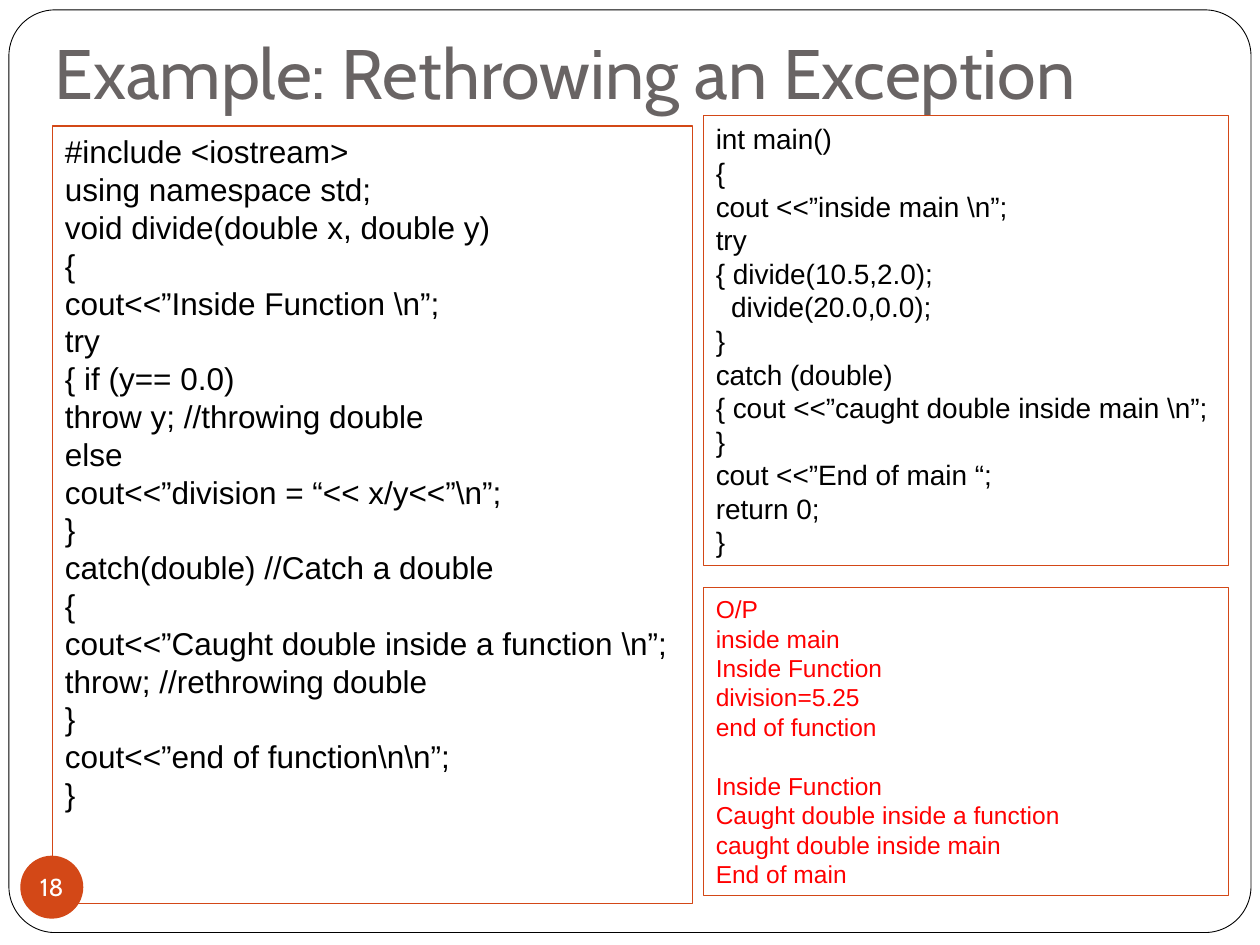
import pptx
import pptx.util
from pptx.dml.color import RGBColor
from pptx.enum.shapes import MSO_SHAPE
from pptx.enum.text import MSO_ANCHOR, PP_ALIGN
from pptx.util import Cm, Pt

BLACK = RGBColor(0x00, 0x00, 0x00)
WHITE = RGBColor(0xFF, 0xFF, 0xFF)
GREY = RGBColor(0x69, 0x64, 0x64)
ORANGE = RGBColor(0xD3, 0x48, 0x17)
RED = RGBColor(0xFF, 0x00, 0x00)

DIVIDE_CODE = r"""#include <iostream>
using namespace std;
void divide(double x, double y)
{
cout<<”Inside Function \n”;
try
{ if (y== 0.0)
throw y; //throwing double
else
cout<<”division = “<< x/y<<”\n”;
}
catch(double) //Catch a double
{
cout<<”Caught double inside a function \n”;
throw; //rethrowing double
}
cout<<”end of function\n\n”;
}"""

MAIN_CODE = r"""int main()
{
cout <<”inside main \n”;
try
{ divide(10.5,2.0);
  divide(20.0,0.0);
}
catch (double)
{ cout <<”caught double inside main \n”;
}
cout <<”End of main “;
return 0;
}"""

# A blank line separates the output of the two calls.
OUTPUT = """O/P
inside main
Inside Function
division=5.25
end of function

Inside Function
Caught double inside a function
caught double inside main
End of main"""


def style_font(font, name, size, color):
    font.name = name
    font.size = Pt(size)
    font.color.rgb = color


def set_insets(tf, left, top, right, bottom):
    tf.margin_left, tf.margin_top = Cm(left), Cm(top)
    tf.margin_right, tf.margin_bottom = Cm(right), Cm(bottom)


def add_box(slide, kind, box, fill=None, line=None, width=0.75):
    sp = slide.shapes.add_shape(kind, *map(Cm, box))
    sp.shadow.inherit = False
    if fill is None:
        sp.fill.background()
    else:
        sp.fill.solid()
        sp.fill.fore_color.rgb = fill
    if line is None:
        sp.line.fill.background()
    else:
        sp.line.color.rgb = line
        sp.line.width = Pt(width)
    return sp


def add_frame(slide, box):
    sp = add_box(slide, MSO_SHAPE.ROUNDED_RECTANGLE, box, WHITE, BLACK, 0.5)
    sp.adjustments[0] = 0.05


def add_title(slide, box, text):
    tf = slide.shapes.add_textbox(*map(Cm, box)).text_frame
    tf.word_wrap = True
    tf.vertical_anchor = MSO_ANCHOR.BOTTOM
    set_insets(tf, 0.25, 0.13, 0.25, 0.25)
    tf.text = text
    style_font(tf.paragraphs[0].runs[0].font, "Cabin", 40, GREY)


def add_listing(slide, box, text, size, color, hanging=0):
    """Outlined panel with one paragraph per line; a blank line becomes space before."""
    tf = add_box(slide, MSO_SHAPE.RECTANGLE, box, line=ORANGE).text_frame
    tf.word_wrap = True
    tf.vertical_anchor = MSO_ANCHOR.TOP
    set_insets(tf, 0.25, 0.13, 0.25, 0.13)
    line_height = Pt(size * 1.2)
    blocks = text.split("\n\n")
    tf.text = "\n".join(blocks)
    for p in tf.paragraphs:
        p.alignment = PP_ALIGN.LEFT
        p.line_spacing = line_height
        if hanging:
            pPr = p._p.get_or_add_pPr()
            pPr.set("marL", str(Cm(hanging)))
            pPr.set("indent", str(-Cm(hanging)))
        style_font(p.runs[0].font, "Arial", size, color)
    start = 0
    for block in blocks[:-1]:
        start += len(block.split("\n"))
        tf.paragraphs[start].space_before = line_height


def add_page_badge(slide, box, number):
    tf = add_box(slide, MSO_SHAPE.OVAL, box, fill=ORANGE).text_frame
    tf.word_wrap = False
    tf.vertical_anchor = MSO_ANCHOR.MIDDLE
    set_insets(tf, 0, 0, 0, 0)
    tf.text = str(number)
    p = tf.paragraphs[0]
    p.alignment = PP_ALIGN.CENTER
    style_font(p.runs[0].font, "Cabin", 14, WHITE)


def main():
    prs = pptx.Presentation()
    prs.slide_width, prs.slide_height = Cm(25.4), Cm(19.05)
    s = prs.slides.add_slide(prs.slide_layouts[6])
    add_frame(s, (0.18, 0.2, 25.04, 18.6))
    add_title(s, (0.85, 0.76, 23.3, 1.78), "Example: Rethrowing an Exception")
    add_listing(s, (1.06, 2.54, 12.9, 15.67), DIVIDE_CODE, 18, BLACK, hanging=0.76)
    add_page_badge(s, (0.41, 17.25, 1.27, 1.27), 18)
    right_x, right_w = 14.18, 10.58
    add_listing(s, (right_x, 2.33, right_w, 9.07), MAIN_CODE, 16, BLACK)
    add_listing(s, (right_x, 11.85, right_w, 6.2), OUTPUT, 14, RED)
    prs.save("out.pptx")


if __name__ == "__main__":
    main()
